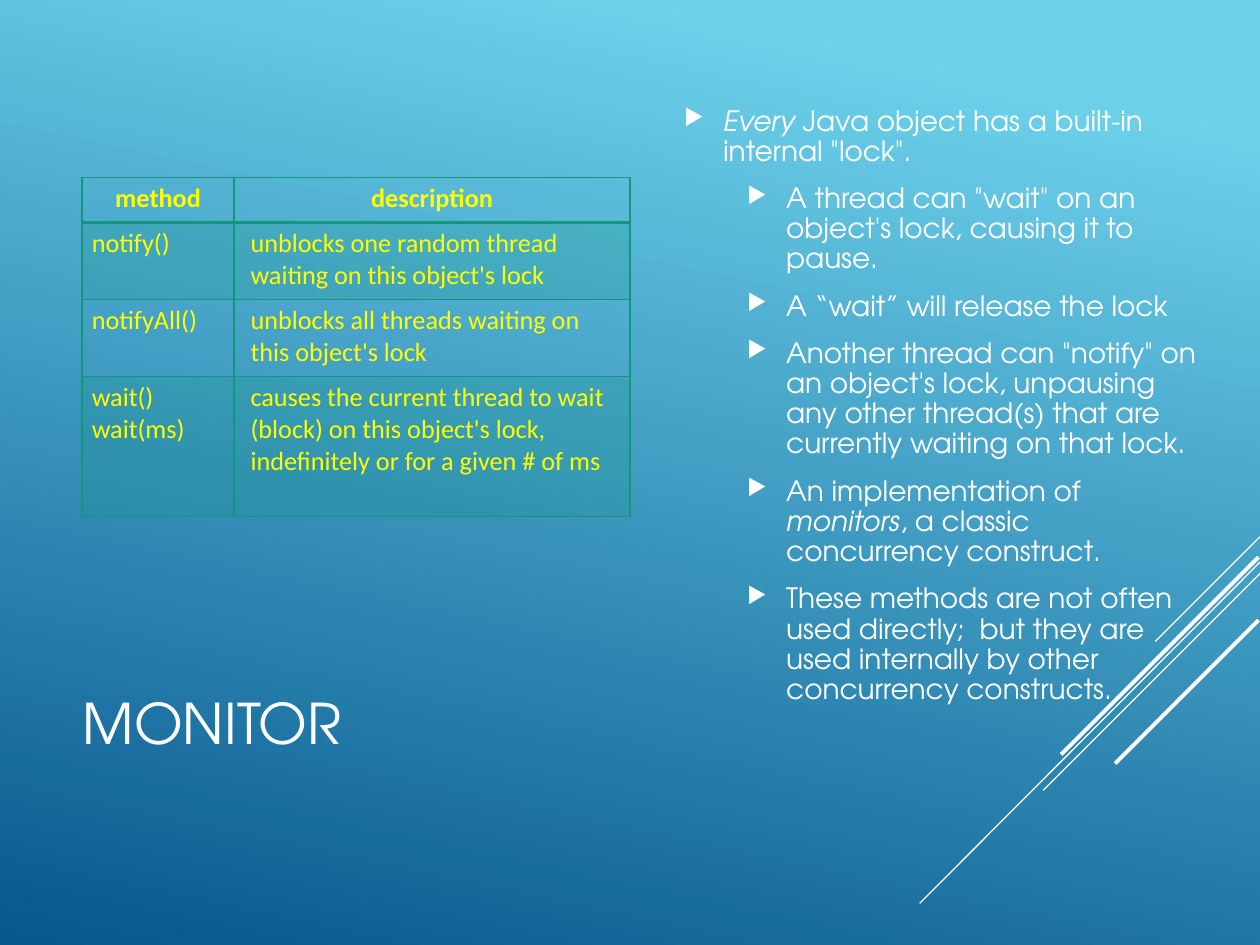
from lxml.etree import SubElement
from pptx import Presentation
from pptx.dml.color import RGBColor
from pptx.enum.shapes import MSO_CONNECTOR
from pptx.enum.text import MSO_ANCHOR, PP_ALIGN
from pptx.oxml import parse_xml
from pptx.oxml.ns import nsdecls, qn
from pptx.util import Cm, Pt

WHITE, YELLOW, GREEN = "FFFFFF", "FFFF00", "14967C"
HEADING_FONT, TABLE_FONT = "TeX Gyre Adventor", "Calibri"

# Start x, start y, end x, end y (cm) and width (pt)
STRIPES = [
    (25.4, 10.82, 23.29, 12.93, 0.75),
    (25.4, 11.33, 18.54, 18.21, 0.75),
    (25.4, 11.56, 21.03, 15.93, 0.75),
    (25.37, 11.23, 21.39, 15.21, 2.25),
    (25.37, 12.5, 22.48, 15.39, 2.25),
]

# Level and runs; each run is text and italic
BULLETS = [
    (0, [("Every", True), (' Java object has a built-in internal "lock".', False)]),
    (1, [('A thread can "wait" on an object\'s lock, causing it to pause.', False)]),
    (1, [("A “wait” will release the lock", False)]),
    (1, [('Another thread can "notify" on an object\'s lock, unpausing any '
          "other thread(s) that are currently waiting on that lock.", False)]),
    (1, [("An implementation of ", False), ("monitors", True),
         (", a classic concurrency construct.", False)]),
    (1, [("These methods are not often used directly;  but they are used "
          "internally by other concurrency constructs.", False)]),
]

METHODS = [
    ("method", "description"),
    ("notify()", "unblocks one random thread waiting on this object's lock"),
    ("notifyAll()", "unblocks all threads waiting on this object's lock"),
    ("wait()\nwait(ms)", "causes the current thread to wait (block) on this "
     "object's lock, indefinitely or for a given # of ms"),
]
COL_WIDTHS = [3.07, 7.98]
ROW_HEIGHTS = [0.91, 1.55, 1.55, 2.82]


def color(value):
    return RGBColor.from_string(value)


def add_text(p, text, font=HEADING_FONT, size=16, fill=WHITE, bold=False, italic=False):
    for i, line in enumerate(text.split("\n")):
        if i:
            p.add_line_break()
        r = p.add_run()
        r.text = line
        r.font.name, r.font.size = font, Pt(size)
        r.font.bold, r.font.italic = bold, italic
        r.font.color.rgb = color(fill)


def add_box(s, left, top, width, height, anchor=MSO_ANCHOR.TOP):
    tf = s.shapes.add_textbox(Cm(left), Cm(top), Cm(width), Cm(height)).text_frame
    tf.word_wrap = True
    tf.vertical_anchor = anchor
    return tf


def set_background(s):
    fill = s.background.fill
    fill.gradient()
    fill.gradient_angle = 258
    for stop, (position, value) in zip(fill.gradient_stops, [(0.1, "6ED2EB"), (1, "06588E")]):
        stop.position = position
        stop.color.rgb = color(value)


def add_stripe(s, x1, y1, x2, y2, width):
    line = s.shapes.add_connector(MSO_CONNECTOR.STRAIGHT, Cm(x1), Cm(y1), Cm(x2), Cm(y2))
    line.line.color.rgb = color(WHITE)
    line.line.width = Pt(width)
    SubElement(line._element.spPr, qn("a:effectLst"))


def add_bullet(p, level, runs):
    p.level = level
    p.line_spacing = 0.9
    p.space_before, p.space_after = Pt(3.7), Pt(6)
    pPr = p._p.get_or_add_pPr()
    pPr.set("marL", str(Cm(0.79 + 1.27 * level)))
    pPr.set("indent", str(Cm(-0.79)))
    SubElement(SubElement(pPr, qn("a:buClr")), qn("a:srgbClr")).set("val", WHITE)
    SubElement(pPr, qn("a:buSzPct")).set("val", "80000")
    SubElement(pPr, qn("a:buChar")).set("char", "▶")
    for text, italic in runs:
        add_text(p, text, italic=italic)


def set_borders(cell, **widths):
    tcPr = cell._tc.get_or_add_tcPr()
    for i, side in enumerate("LRTB"):
        width = Pt(widths.get(side, 1))
        tcPr.insert(i, parse_xml(
            f'<a:ln{side} {nsdecls("a")} w="{width}"><a:solidFill>'
            f'<a:srgbClr val="{GREEN}"/></a:solidFill></a:ln{side}>'))


def fill_cell(cell, shaded):
    if not shaded:
        cell.fill.background()
        return
    cell.fill.solid()
    cell.fill.fore_color.rgb = color(GREEN)
    tint = cell._tc.tcPr.find(".//" + qn("a:srgbClr"))
    SubElement(tint, qn("a:alpha")).set("val", "20000")


def add_method_table(s, left, top):
    table = s.shapes.add_table(
        len(METHODS), len(COL_WIDTHS), Cm(left), Cm(top),
        Cm(sum(COL_WIDTHS)), Cm(sum(ROW_HEIGHTS))).table
    table.first_row = table.horz_banding = False
    for col, width in zip(table.columns, COL_WIDTHS):
        col.width = Cm(width)
    for i, (row, texts) in enumerate(zip(table.rows, METHODS)):
        row.height = Cm(ROW_HEIGHTS[i])
        for j, (cell, text) in enumerate(zip(row.cells, texts)):
            cell.margin_left = cell.margin_right = Cm(0.2)
            cell.margin_top = cell.margin_bottom = Cm(0.1)
            p = cell.text_frame.paragraphs[0]
            p.space_before = Pt(3)
            if i == 0:
                p.alignment = PP_ALIGN.CENTER
            elif j == 1:
                p._p.get_or_add_pPr().set("marL", str(Cm(0.13)))
            add_text(p, text, font=TABLE_FONT, size=15, fill=YELLOW, bold=i == 0)
            # Odd body rows are tinted; a thick rule closes the header
            fill_cell(cell, shaded=i % 2 == 1)
            set_borders(cell, T=2 if i == 1 else 1, B=2 if i == 0 else 1)


def main():
    prs = Presentation()
    prs.slide_width, prs.slide_height = Cm(25.4), Cm(19.05)
    s = prs.slides.add_slide(prs.slide_layouts[6])

    # Background and diagonal stripes
    set_background(s)
    for stripe in STRIPES:
        add_stripe(s, *stripe)

    # Title
    tf = add_box(s, 1.42, 12.47, 17.78, 4.19, MSO_ANCHOR.MIDDLE)
    add_text(tf.paragraphs[0], "MONITOR", size=32)

    # Bullet list
    tf = add_box(s, 13.54, 2.03, 11.05, 16.38)
    for i, (level, runs) in enumerate(BULLETS):
        p = tf.add_paragraph() if i else tf.paragraphs[0]
        add_bullet(p, level, runs)

    # Method table
    add_method_table(s, 1.65, 3.58)

    prs.save("out.pptx")


if __name__ == "__main__":
    main()
